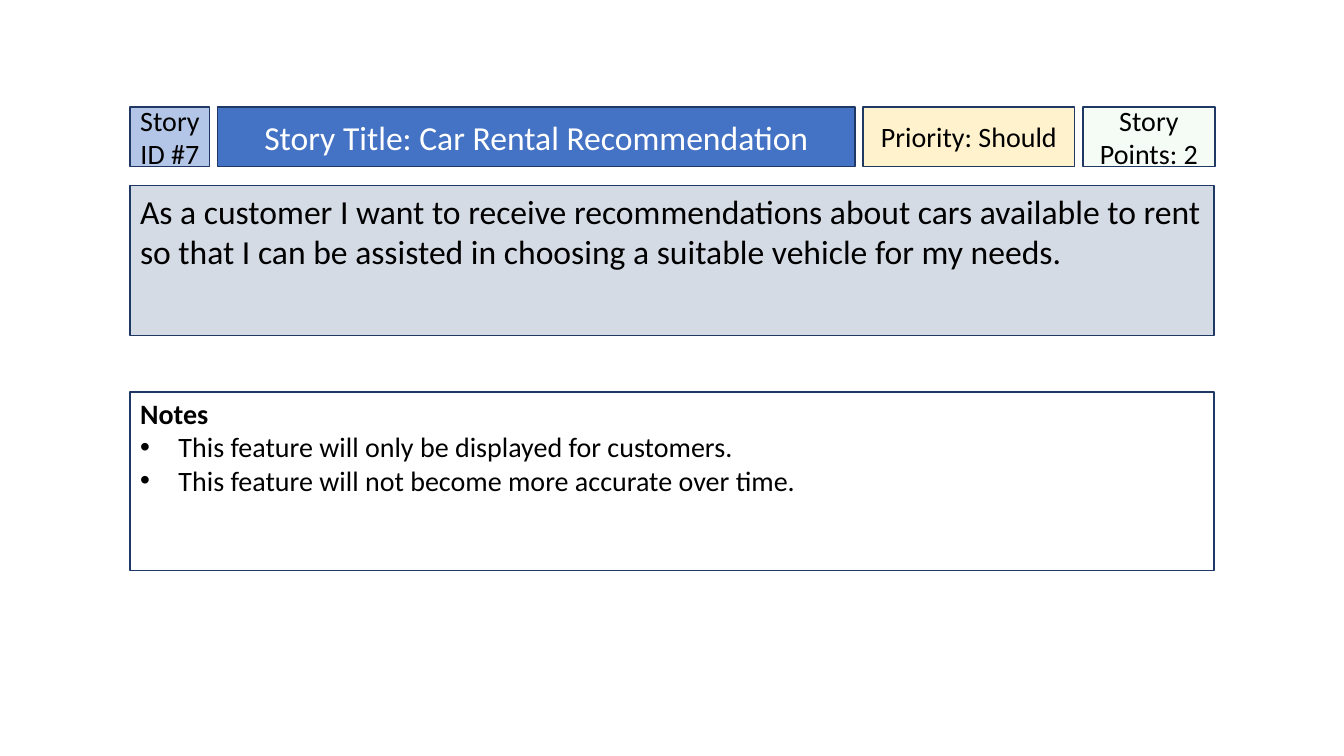
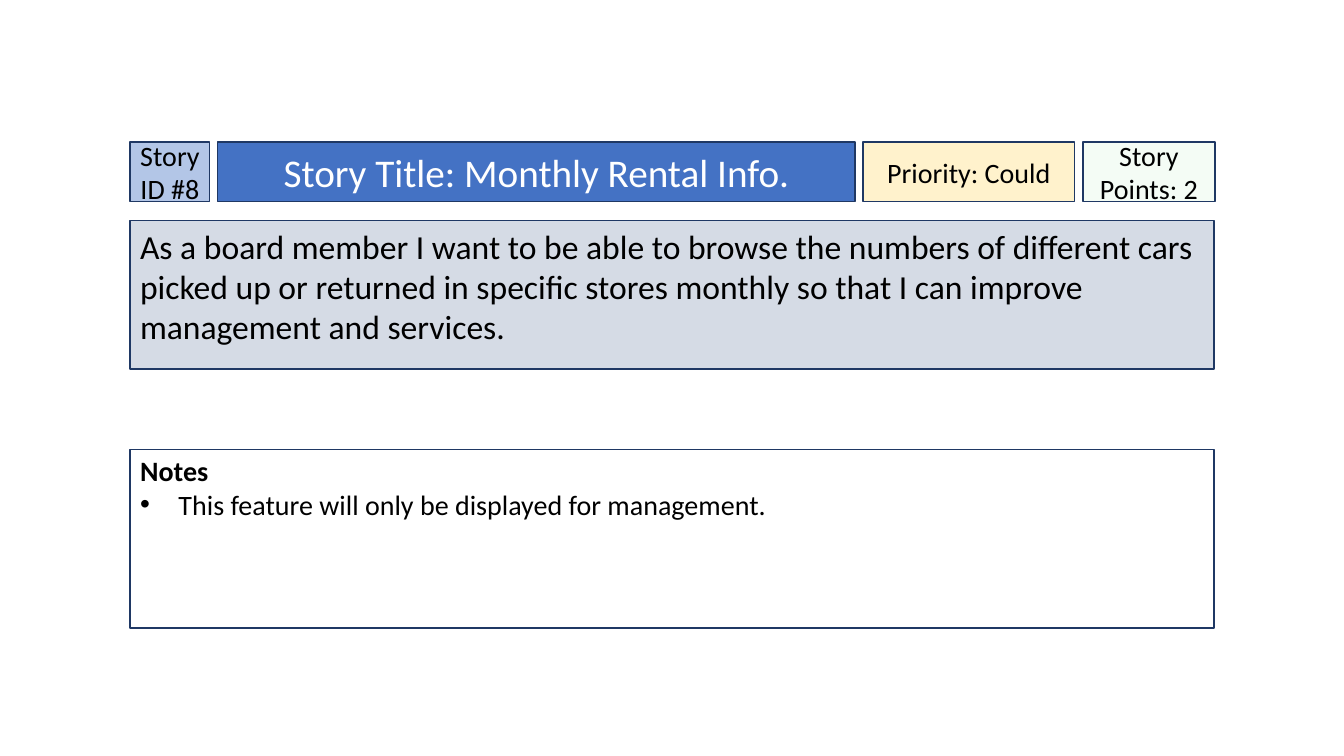
from dataclasses import dataclass
from typing import Any

from lxml.etree import SubElement
from pptx import Presentation
from pptx.dml.color import RGBColor
from pptx.enum.shapes import MSO_SHAPE as SHAPE
from pptx.enum.text import MSO_ANCHOR as ANCHOR, MSO_AUTO_SIZE as AUTO, PP_ALIGN as ALIGN
from pptx.oxml.ns import qn
from pptx.util import Inches, Pt

COLORS = {
    "id": "B3C6E7", "title": "4472C4", "priority": "FFF2CC", "points": "CCF0CD",
    "story": "D5DBE5", "remarks": "FFFFFF", "line": "1F3864",
    "text": "000000", "light": "FFFFFF",
}
FONT = "Calibri"
LEFT, WIDTH, GAP = 1.29, 10.75, 0.08
BAR_H, STORY_DY, REMARKS_H = 0.59, 0.78, 1.77
BAR_WIDTHS = {"id": 0.79, "title": 6.32, "priority": 2.1, "points": 1.31}


@dataclass(frozen=True)
class Box:
    x: float
    y: float
    w: float
    h: float


@dataclass(frozen=True)
class Card:
    number: int
    title: str
    title_size: int
    priority: str
    points: int
    top: float
    story: str
    story_h: float
    remarks_y: float
    remarks: tuple[str, ...]


CARDS = (
    Card(7, "Car Rental Recommendation", 24, "Should", 2, 1.06,
         "As a customer I want to receive recommendations about cars available to rent "
         "so that I can be assisted in choosing a suitable vehicle for my needs.",
         1.49, 3.89,
         ("This feature will only be displayed for customers.",
          "This feature will not become more accurate over time.")),
    Card(8, "Monthly Rental Info.", 28, "Could", 2, 1.41,
         "As a board member I want to be able to browse the numbers of different cars "
         "picked up or returned in specific stores monthly so that I can improve "
         "management and services.",
         1.47, 4.46,
         ("This feature will only be displayed for management.",)),
)


def rgb(name: str) -> RGBColor:
    return RGBColor.from_string(COLORS[name])


def apply(target: Any, values: dict[str, Any]) -> None:
    for name, value in values.items():
        setattr(target, name, value)


def style_box(sp: Any, box: Box, fill: str, anchor: Any, side: float, top: float = 0.05) -> Any:
    apply(sp, {"left": Inches(box.x), "top": Inches(box.y),
               "width": Inches(box.w), "height": Inches(box.h)})
    sp.fill.solid()
    sp.fill.fore_color.rgb = rgb(fill)
    sp.line.color.rgb = rgb("line")
    sp.line.width = Pt(1)
    tf = sp.text_frame
    apply(tf, {"word_wrap": True, "auto_size": AUTO.NONE, "vertical_anchor": anchor,
               "margin_left": Inches(side), "margin_right": Inches(side),
               "margin_top": Inches(top), "margin_bottom": Inches(0.05)})
    return tf


def write(p: Any, text: str, size: int, align: Any, color: str = "text", bold: bool = False) -> None:
    apply(p, {"alignment": align, "space_before": Pt(0)})
    r = p.add_run()
    r.text = text
    apply(r.font, {"name": FONT, "size": Pt(size), "bold": bold})
    r.font.color.rgb = rgb(color)


def set_bullet(p: Any, shown: bool) -> None:
    pPr = p._p.get_or_add_pPr()
    indent = Inches(0.38) if shown else 0
    pPr.set("marL", str(indent))
    pPr.set("indent", str(-indent))
    if not shown:
        SubElement(pPr, qn("a:buNone"))
        return
    color = SubElement(pPr, qn("a:buClr"))
    SubElement(color, qn("a:srgbClr")).set("val", COLORS["text"])
    SubElement(pPr, qn("a:buFont")).set("typeface", "Arial")
    SubElement(pPr, qn("a:buChar")).set("char", "•")


def add_rect(s: Any) -> Any:
    sp = s.shapes.add_shape(SHAPE.RECTANGLE, 0, 0, 0, 0)
    sp.shadow.inherit = False
    return sp


def set_alpha(sp: Any, percent: int) -> None:
    color = sp._element.spPr.find(qn("a:solidFill"))[0]
    SubElement(color, qn("a:alpha")).set("val", str(percent * 1000))


def add_bar(s: Any, card: Card) -> None:
    texts = {"id": f"Story ID #{card.number}", "title": f"Story Title: {card.title}",
             "priority": f"Priority: {card.priority}", "points": f"Story Points: {card.points}"}
    x = LEFT
    for name, w in BAR_WIDTHS.items():
        is_title = name == "title"
        sp = s.shapes.title if is_title else add_rect(s)
        tf = style_box(sp, Box(x, card.top, w, BAR_H), name, ANCHOR.MIDDLE, 0.1 if is_title else 0)
        write(tf.paragraphs[0], texts[name], card.title_size if is_title else 20,
              ALIGN.CENTER, "light" if is_title else "text")
        if name == "points":
            set_alpha(sp, 20)
        x += w + GAP


def add_story(s: Any, card: Card) -> None:
    box = Box(LEFT, card.top + STORY_DY, WIDTH, card.story_h)
    tf = style_box(add_rect(s), box, "story", ANCHOR.TOP, 0.1)
    write(tf.paragraphs[0], card.story, 24, ALIGN.LEFT)


def add_remarks(s: Any, card: Card) -> None:
    box = Box(LEFT, card.remarks_y, WIDTH, REMARKS_H)
    tf = style_box(s.placeholders[1], box, "remarks", ANCHOR.TOP, 0.1, 0.04)
    for i, text in enumerate(("Notes", *card.remarks)):
        p = tf.add_paragraph() if i else tf.paragraphs[0]
        set_bullet(p, i > 0)
        write(p, text, 20, ALIGN.LEFT, bold=i == 0)


def main() -> None:
    prs = Presentation()
    apply(prs, {"slide_width": Inches(13.33), "slide_height": Inches(7.5)})
    for card in CARDS:
        s = prs.slides.add_slide(prs.slide_layouts[1])
        add_bar(s, card)
        add_story(s, card)
        add_remarks(s, card)
    prs.save("out.pptx")


if __name__ == "__main__":
    main()
